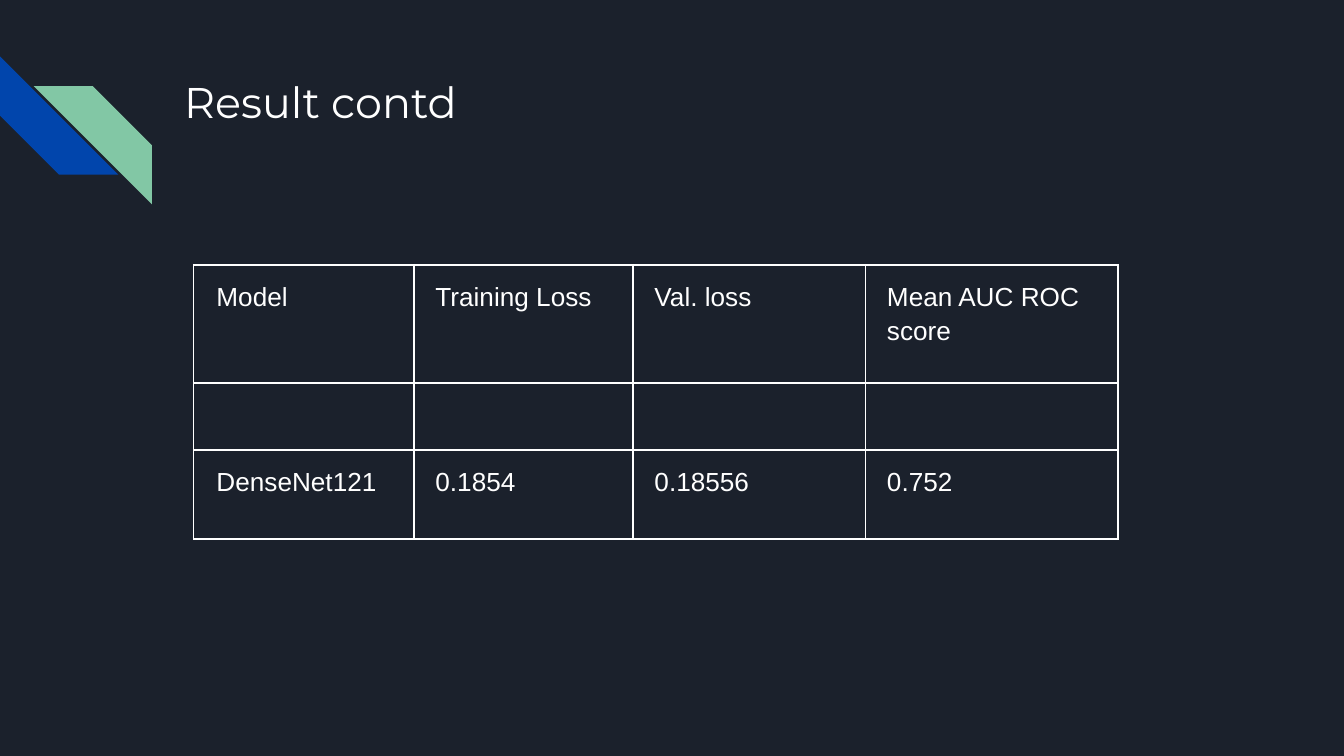
from dataclasses import dataclass

from pptx import Presentation
from pptx import util as u
from pptx.dml.color import RGBColor
from pptx.enum import shapes, text
from pptx.oxml import parse_xml
from pptx.oxml.ns import nsdecls


@dataclass(frozen=True)
class Theme:
    background: str = "1B212C"
    ink: str = "FFFFFF"
    blue: str = "0145AC"
    green: str = "82C7A5"
    title_font: str = "Montserrat"
    body_font: str = "Arial"
    title_size: int = 23
    body_size: int = 14


@dataclass(frozen=True)
class Box:
    """Left, top, width and height in percent of the slide."""
    left: float
    top: float
    width: float
    height: float


@dataclass(frozen=True)
class Stripe:
    box: Box
    color: str
    rotation: int


THEME = Theme()
WIDTH, HEIGHT = u.Inches(10), u.Inches(5.625)
INSET = u.Inches(0.1)

TITLE_BOX = Box(12.7, 8.18, 80.3, 16.71)
STRIPES = [
    Stripe(Box(0, 7.47, 8.8, 15.64), THEME.blue, 270),
    Stripe(Box(2.5, 11.38, 8.8, 15.64), THEME.green, 90),
]
TABLE_LEFT, TABLE_TOP = 14.4, 35.02
COLUMNS = [16.4, 16.3, 17.3, 18.8]
ROWS = [15.64, 8.89, 11.73]
INDENTS = [0.07, 0.06, 0.06, 0.06]
RESULTS = [
    ["Model", "Training Loss", "Val. loss", "Mean AUC ROC score"],
    ["", "", "", ""],
    ["DenseNet121", "0.1854", "0.18556", "0.752"],
]


def across(percent: float) -> int:
    return round(WIDTH * percent / 100)


def down(percent: float) -> int:
    return round(HEIGHT * percent / 100)


def place(box: Box) -> tuple[int, int, int, int]:
    return across(box.left), down(box.top), across(box.width), down(box.height)


def set_font(p, name: str, size: int) -> None:
    p.font.name, p.font.size = name, u.Pt(size)
    p.font.color.rgb = RGBColor.from_string(THEME.ink)


def add_stripe(slide, stripe: Stripe) -> None:
    sp = slide.shapes.add_shape(shapes.MSO_SHAPE.DIAGONAL_STRIPE, *place(stripe.box))
    sp.adjustments[0] = 0.5
    sp.rotation = stripe.rotation
    sp.shadow.inherit = False
    sp.fill.solid()
    sp.fill.fore_color.rgb = RGBColor.from_string(stripe.color)
    sp.line.fill.background()


def format_title(title) -> None:
    title.left, title.top, title.width, title.height = place(TITLE_BOX)
    tf = title.text_frame
    tf.text = "Result contd"
    tf.word_wrap = True
    tf.auto_size = text.MSO_AUTO_SIZE.NONE
    tf.vertical_anchor = text.MSO_ANCHOR.TOP
    tf.margin_left = tf.margin_top = tf.margin_right = tf.margin_bottom = INSET
    p = tf.paragraphs[0]
    p.alignment = text.PP_ALIGN.LEFT
    set_font(p, THEME.title_font, THEME.title_size)


def set_borders(cell, widths: dict[str, float]) -> None:
    """Draw the cell's edges; widths are points by edge letter."""
    tcPr = cell._tc.get_or_add_tcPr()
    for i, (edge, width) in enumerate(widths.items()):
        tcPr.insert(i, parse_xml(
            f'<a:ln{edge} {nsdecls("a")} w="{u.Pt(width)}"><a:solidFill>'
            f'<a:srgbClr val="{THEME.ink}"/></a:solidFill></a:ln{edge}>'))


def fill_cell(cell, value: str, indent: float) -> None:
    cell.fill.background()
    cell.margin_left = cell.margin_top = cell.margin_right = cell.margin_bottom = INSET
    p = cell.text_frame.paragraphs[0]
    set_font(p, THEME.body_font, THEME.body_size)
    if value:
        p.add_run().text = value
        set_font(p, THEME.body_font, THEME.body_size)
        p.line_spacing = 1.15
        p.space_before = p.space_after = u.Pt(12)
        pPr = p._p.get_or_add_pPr()
        pPr.set("marL", str(u.Inches(indent)))
        pPr.set("indent", "0")


def add_results(slide) -> None:
    box = Box(TABLE_LEFT, TABLE_TOP, sum(COLUMNS), sum(ROWS))
    table = slide.shapes.add_table(len(ROWS), len(COLUMNS), *place(box)).table
    table.first_row = table.horz_banding = False
    for column, width in zip(table.columns, COLUMNS):
        column.width = across(width)
    for i, (row, height) in enumerate(zip(table.rows, ROWS)):
        row.height = down(height)
        edges = {"L": 1, "R": 1, "T": 0.75 if i == 1 else 1, "B": 0.75 if i == 0 else 1}
        for cell, value, indent in zip(row.cells, RESULTS[i], INDENTS):
            fill_cell(cell, value, indent)
            set_borders(cell, edges)


def main() -> None:
    prs = Presentation()
    prs.slide_width, prs.slide_height = WIDTH, HEIGHT
    slide = prs.slides.add_slide(prs.slide_layouts.get_by_name("Title Only"))
    slide.background.fill.solid()
    slide.background.fill.fore_color.rgb = RGBColor.from_string(THEME.background)
    for stripe in STRIPES:
        add_stripe(slide, stripe)
    add_results(slide)
    format_title(slide.shapes.title)
    prs.save("out.pptx")


if __name__ == "__main__":
    main()
